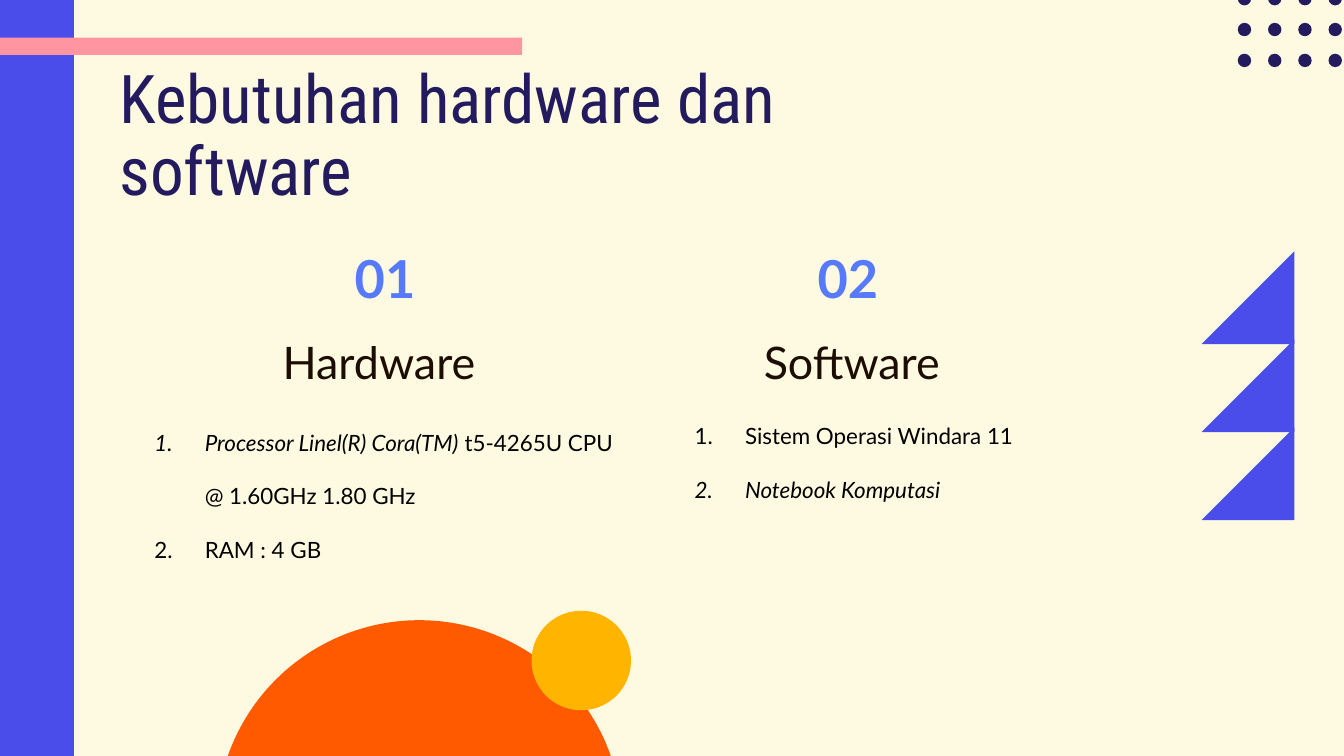
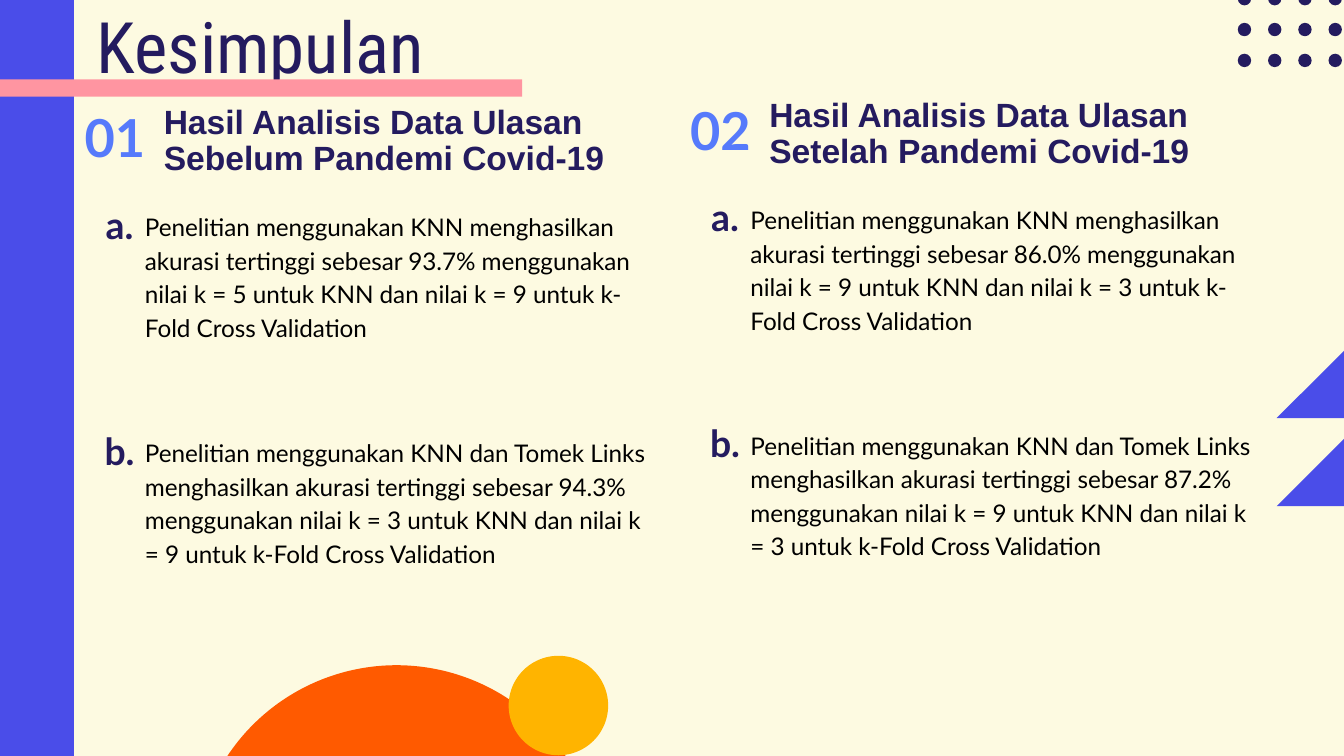
from dataclasses import dataclass
from typing import Any

from lxml import etree
from pptx import Presentation
from pptx import util as u
from pptx.dml.color import RGBColor
from pptx.enum import shapes, text
from pptx.oxml.ns import qn

EMU_PER_PX = 4572  # 200 px to the inch
PAGE_WIDTH, PAGE_HEIGHT = 2000, 1125
COLOURS = {
    "cream": "FDFAE1", "blue": "4A4DE9", "sky": "567AFB", "navy": "241B5F",
    "pink": "FF95A1", "orange": "FF5A00", "amber": "FFB400",
    "brown": "1D0D00", "black": "000000",
}
SHAPE = shapes.MSO_SHAPE
ANCHOR = text.MSO_ANCHOR
FIT = text.MSO_AUTO_SIZE
Items = list[list[tuple[str, bool]]]  # paragraphs of (words, italic)


@dataclass(frozen=True)
class Box:
    left: int
    top: int
    width: int
    height: int

    def shift(self, right: int, down: int) -> "Box":
        return Box(self.left + right, self.top + down, self.width, self.height)

    def emu(self) -> tuple[int, int, int, int]:
        return px(self.left), px(self.top), px(self.width), px(self.height)


@dataclass(frozen=True)
class Style:
    size: int
    colour: str
    font: str = "Lato"
    bold: bool = False
    centred: bool = False
    spacing: float = 1.0
    anchor: Any = ANCHOR.TOP
    inset: int = 20  # top and bottom; the sides are always 20


@dataclass(frozen=True)
class Frame:
    title: str
    title_box: Box
    title_size: int
    bar_top: int
    sun: tuple[int, int]
    triangles: tuple[int, int, int]  # left, first top, count


@dataclass(frozen=True)
class Need:
    number: str
    name: str
    number_left: int
    name_left: int
    list_box: Box
    items: Items


@dataclass(frozen=True)
class Finding:
    number: str
    heading: str
    shift: tuple[int, int]
    points: tuple[str, str]


NUMBER = Style(28, "sky", bold=True, centred=True, anchor=ANCHOR.MIDDLE)
NAME = Style(24, "brown", spacing=1.15, anchor=ANCHOR.BOTTOM)
LIST = Style(12, "black", spacing=2.0, inset=10)
HEADING = Style(18, "navy", "Arial", bold=True, spacing=0.9, anchor=ANCHOR.BOTTOM, inset=10)
LETTER = Style(20, "navy", bold=True, centred=True, anchor=ANCHOR.MIDDLE)
POINT = Style(13, "black", spacing=1.15)

FRAMES = [
    Frame("Kebutuhan hardware dan software", Box(158, 187, 1018, 136), 36, 56,
          (322, 923), (1788, 374, 3)),
    Frame("Kesimpulan", Box(124, 6, 842, 136), 38, 118,
          (288, 990), (1900, 484, 2)),
]
NEEDS = [
    Need("01", "Hardware", 493, 401, Box(210, 588, 744, 222), [
        [("Processor Linel(R) Cora(TM)", True), (" t5-4265U CPU @ 1.60GHz 1.80 GHz", False)],
        [("RAM : 4 GB", False)],
    ]),
    Need("02", "Software", 1182, 1117, Box(1014, 578, 588, 142), [
        [("Sistem Operasi Windara 11", False)],
        [("Notebook Komputasi", True)],
    ]),
]
FINDINGS = [
    Finding("01", "Hasil Analisis Data Ulasan Sebelum Pandemi Covid-19", (0, 0), (
        "Penelitian menggunakan KNN menghasilkan akurasi tertinggi sebesar 93.7% "
        "menggunakan nilai k = 5 untuk KNN dan nilai k = 9 untuk k-Fold Cross Validation",
        "Penelitian menggunakan KNN dan Tomek Links menghasilkan akurasi tertinggi sebesar 94.3% "
        "menggunakan nilai k = 3 untuk KNN dan nilai k = 9 untuk k-Fold Cross Validation",
    )),
    Finding("02", "Hasil Analisis Data Ulasan Setelah Pandemi Covid-19", (901, -11), (
        "Penelitian menggunakan KNN menghasilkan akurasi tertinggi sebesar 86.0% "
        "menggunakan nilai k = 9 untuk KNN dan nilai k = 3 untuk k-Fold Cross Validation",
        "Penelitian menggunakan KNN dan Tomek Links menghasilkan akurasi tertinggi sebesar 87.2% "
        "menggunakan nilai k = 9 untuk KNN dan nilai k = 3 untuk k-Fold Cross Validation",
    )),
]


def px(length: int) -> int:
    return u.Emu(length * EMU_PER_PX)


def colour(name: str) -> RGBColor:
    return RGBColor.from_string(COLOURS[name])


def add_solid(parent: Any, kind: Any, box: Box, fill: str) -> Any:
    shape = parent.shapes.add_shape(kind, *box.emu())
    shape.shadow.inherit = False
    shape.fill.solid()
    shape.fill.fore_color.rgb = colour(fill)
    shape.line.fill.background()
    return shape


def format_frame(frame: Any, style: Style, fit: Any = FIT.NONE) -> None:
    frame.word_wrap = True
    frame.auto_size = fit
    frame.vertical_anchor = style.anchor
    frame.margin_left = frame.margin_right = px(20)
    frame.margin_top = frame.margin_bottom = px(style.inset)


def format_paragraph(para: Any, style: Style) -> None:
    para.alignment = text.PP_ALIGN.CENTER if style.centred else text.PP_ALIGN.LEFT
    para.line_spacing = style.spacing
    para.font.name = style.font
    para.font.size = u.Pt(style.size)
    para.font.bold = style.bold
    para.font.color.rgb = colour(style.colour)


def add_label(parent: Any, box: Box, words: str, style: Style) -> None:
    frame = parent.shapes.add_textbox(*box.emu()).text_frame
    format_frame(frame, style)
    frame.text = words
    format_paragraph(frame.paragraphs[0], style)


def number_paragraph(para: Any, fill: str) -> None:
    properties = para._p.get_or_add_pPr()
    properties.set("marL", str(px(75)))
    properties.set("indent", str(-px(75)))
    bullet_colour = etree.SubElement(properties, qn("a:buClr"))
    etree.SubElement(bullet_colour, qn("a:srgbClr"), val=COLOURS[fill])
    etree.SubElement(properties, qn("a:buAutoNum"), type="arabicPeriod")


def add_numbered_list(page: Any, box: Box, items: Items) -> None:
    frame = page.shapes.add_textbox(*box.emu()).text_frame
    format_frame(frame, LIST, FIT.SHAPE_TO_FIT_TEXT)
    for index, item in enumerate(items):
        para = frame.add_paragraph() if index else frame.paragraphs[0]
        number_paragraph(para, LIST.colour)
        format_paragraph(para, LIST)
        for words, italic in item:
            span = para.add_run()
            span.text = words
            font = span.font if len(item) > 1 else para.font
            font.italic = italic


def add_page(deck: Any, frame: Frame) -> Any:
    page = deck.slides.add_slide(deck.slide_layouts[5])
    page.background.fill.solid()
    page.background.fill.fore_color.rgb = colour("cream")

    # Title
    title = page.shapes.title
    title.left, title.top, title.width, title.height = frame.title_box.emu()
    style = Style(frame.title_size, "navy", "Roboto Condensed", spacing=0.9,
                  anchor=ANCHOR.BOTTOM, inset=10)
    format_frame(title.text_frame, style)
    title.text_frame.text = frame.title
    format_paragraph(title.text_frame.paragraphs[0], style)

    # Side band, sun, title bar and moon
    sun = Box(*frame.sun, 604, 604)
    moon = Box(sun.left + 469, sun.top - 14, 148, 148)
    add_solid(page, SHAPE.FLOWCHART_PROCESS, Box(0, 0, 110, PAGE_HEIGHT), "blue")
    add_solid(page, SHAPE.OVAL, sun, "orange")
    add_solid(page, SHAPE.RECTANGLE, Box(0, frame.bar_top, 777, 26), "pink")
    add_solid(page, SHAPE.OVAL, moon, "amber")

    # Corner dots
    dots = page.shapes.add_group_shape()
    for row in range(3):
        for column in range(4):
            dot = Box(1842, -12, 20, 20).shift(column * 45, row * 46)
            add_solid(dots, SHAPE.FLOWCHART_CONNECTOR, dot, "navy")

    # Triangles at the right
    left, top, count = frame.triangles
    for index in range(count):
        box = Box(left, top + index * 131, 138, 138)
        triangle = add_solid(page, SHAPE.RIGHT_TRIANGLE, box, "blue")
        triangle._element.spPr.find(qn("a:xfrm")).set("flipH", "1")
    return page


def add_need(page: Any, need: Need) -> None:
    add_label(page, Box(need.number_left, 364, 160, 98), need.number, NUMBER)
    add_label(page, Box(need.name_left, 492, 346, 106), need.name, NAME)
    add_numbered_list(page, need.list_box, need.items)


def add_finding(page: Any, finding: Finding) -> None:
    group = page.shapes.add_group_shape()
    right, down = finding.shift
    add_label(group, Box(71, 139, 200, 130).shift(right, down), finding.number, NUMBER)
    add_label(group, Box(224, 139, 776, 136).shift(right, down), finding.heading, HEADING)
    for index, (letter, point) in enumerate(zip(("a.", "b."), finding.points)):
        lower = down + index * 336
        add_label(group, Box(196, 290, 796, 278).shift(right, lower), point, POINT)
        add_label(group, Box(129, 283, 98, 102).shift(right, lower), letter, LETTER)


def main() -> None:
    deck = Presentation()
    deck.slide_width, deck.slide_height = px(PAGE_WIDTH), px(PAGE_HEIGHT)
    needs_page, findings_page = [add_page(deck, frame) for frame in FRAMES]
    for need in NEEDS:
        add_need(needs_page, need)
    for finding in FINDINGS:
        add_finding(findings_page, finding)
    deck.save("out.pptx")


if __name__ == "__main__":
    main()
